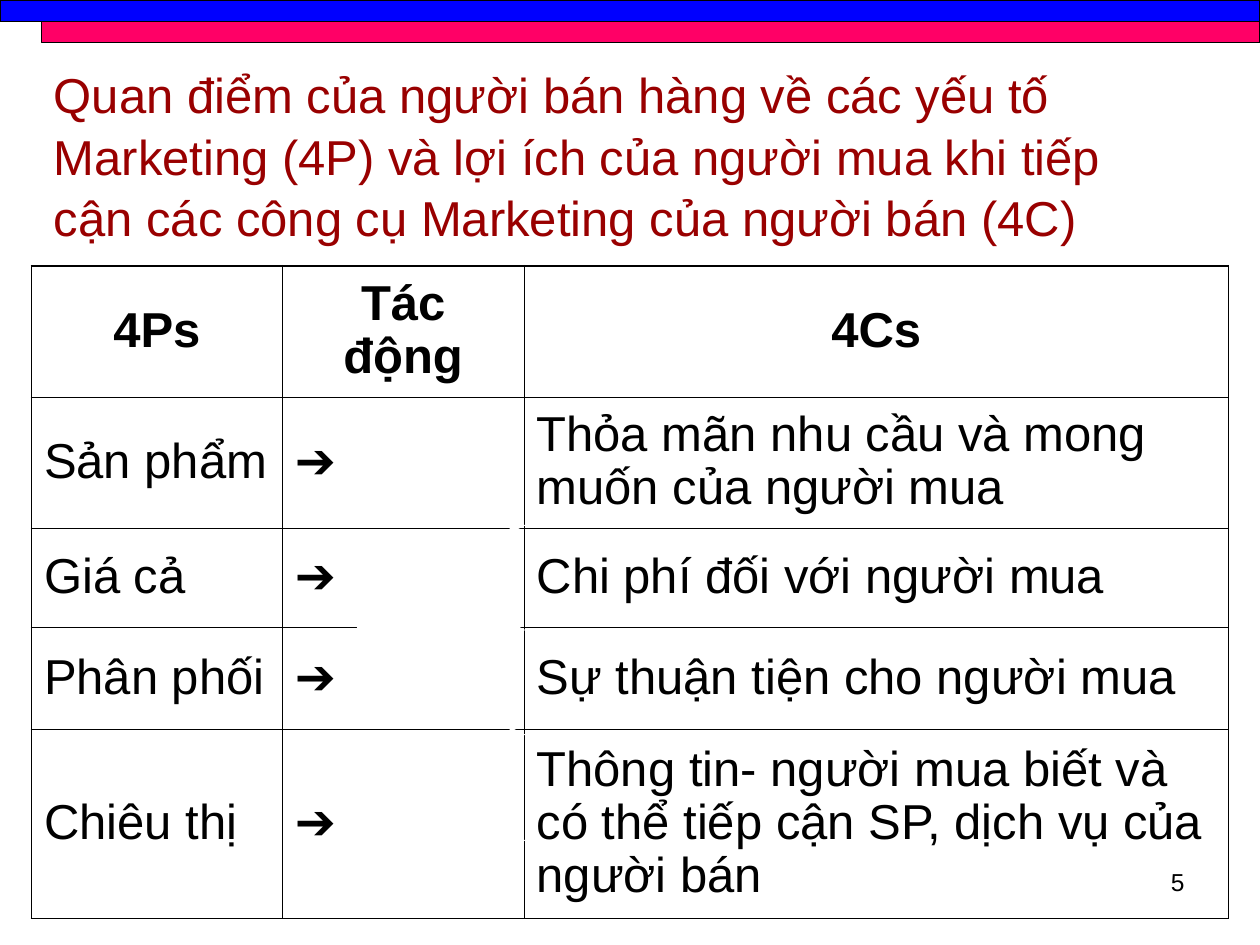
from pptx import Presentation
from pptx.dml.color import RGBColor
from pptx.enum.shapes import MSO_CONNECTOR, MSO_SHAPE
from pptx.enum.text import MSO_ANCHOR, PP_ALIGN
from pptx.oxml.ns import qn
from pptx.util import Inches, Pt
from lxml.etree import SubElement

HUES = {"ink": "000000", "title": "990000", "blue": "0000FF",
        "pink": "FF0066", "white": "FFFFFF"}


def put(frame, text, size=28, hue="ink", bold=False, align=PP_ALIGN.LEFT,
        anchor=MSO_ANCHOR.MIDDLE, before=0, lead=1.0):
    frame.word_wrap = True
    frame.vertical_anchor = anchor
    para = frame.paragraphs[0]
    para.alignment = align
    para.space_before = Pt(before)
    para.line_spacing = lead
    run = para.add_run()
    run.text = text
    run.font.name = "Arial"
    run.font.size = Pt(size)
    run.font.bold = bold
    run.font.color.rgb = RGBColor.from_string(HUES[hue])


def edge(cell, side, width):
    """Draw one border of a cell; side is L, R, T or B."""
    line = SubElement(cell._tc.get_or_add_tcPr(), qn(f"a:ln{side}"), w=str(Pt(width)))
    fill = SubElement(line, qn("a:solidFill"))
    SubElement(fill, qn("a:srgbClr"), val=HUES["ink"])


deck = Presentation()
deck.slide_width, deck.slide_height = Inches(10), Inches(7.5)
slide = deck.slides.add_slide(deck.slide_layouts[6])
shapes = slide.shapes

# Page number and title
page = shapes.add_textbox(Inches(7.17), Inches(6.83), Inches(2.33), Inches(0.52))
put(page.text_frame, "5", size=14, align=PP_ALIGN.RIGHT, anchor=MSO_ANCHOR.TOP)
title = shapes.add_textbox(Inches(0.33), Inches(0.5), Inches(9), Inches(1.45))
put(title.text_frame,
    "Quan điểm của người bán hàng về các yếu tố Marketing (4P) và lợi ích của "
    "người mua khi tiếp cận các công cụ Marketing của người bán (4C)",
    hue="title", lead=1.04)

# Table of 4Ps against 4Cs
rows = [
    ("4Ps", "Tác động", "4Cs"),
    ("Sản phẩm", "➔", "Thỏa mãn nhu cầu và mong muốn của người mua"),
    ("Giá cả", "➔", "Chi phí đối với người mua"),
    ("Phân phối", "➔", "Sự thuận tiện cho người mua"),
    ("Chiêu thị", "➔", "Thông tin- người mua biết và có thể tiếp cận SP, "
                       "dịch vụ của người bán"),
]
widths = [1.99, 1.92, 5.59]
heights = [1.04, 1.04, 0.79, 0.81, 1.5]
grid = shapes.add_table(len(rows), len(widths), Inches(0.25), Inches(2.11),
                        Inches(9.5), Inches(5.18)).table
grid.horz_banding = False
for col, width in zip(grid.columns, widths):
    col.width = Inches(width)
for row, height in zip(grid.rows, heights):
    row.height = Inches(height)

for r, row in enumerate(rows):
    for c, text in enumerate(row):
        cell = grid.cell(r, c)
        head = r == 0
        put(cell.text_frame, text, bold=head, before=7, lead=0.97,
            align=PP_ALIGN.CENTER if head else PP_ALIGN.LEFT)
        cell.vertical_anchor = MSO_ANCHOR.MIDDLE
        outer = {"L": c == 0, "R": c == len(widths) - 1,
                 "T": head, "B": r == len(rows) - 1}
        for side, rim in outer.items():
            edge(cell, side, 1.08 if rim else 0.45)
        cell.fill.background()

# White arrows in the middle column
for y in (4.17, 5, 5.83, 6.67):
    arrow = shapes.add_connector(MSO_CONNECTOR.STRAIGHT, Inches(2.83), Inches(y),
                                 Inches(4.17), Inches(y))
    arrow.line.color.rgb = RGBColor.from_string(HUES["white"])
    arrow.line.width = Pt(3)
    SubElement(arrow.line._get_or_add_ln(), qn("a:tailEnd"), type="triangle")
    SubElement(arrow._element.spPr, qn("a:effectLst"))

# Bars along the top
for left, top, hue in ((0, 0, "blue"), (0.33, 0.17, "pink")):
    bar = shapes.add_shape(MSO_SHAPE.RECTANGLE, Inches(left), Inches(top),
                           Inches(10 - left), Inches(0.17))
    bar.shadow.inherit = False
    bar.fill.solid()
    bar.fill.fore_color.rgb = RGBColor.from_string(HUES[hue])
    bar.line.color.rgb = RGBColor.from_string(HUES["ink"])
    bar.line.width = Pt(0.75)

deck.save("out.pptx")
